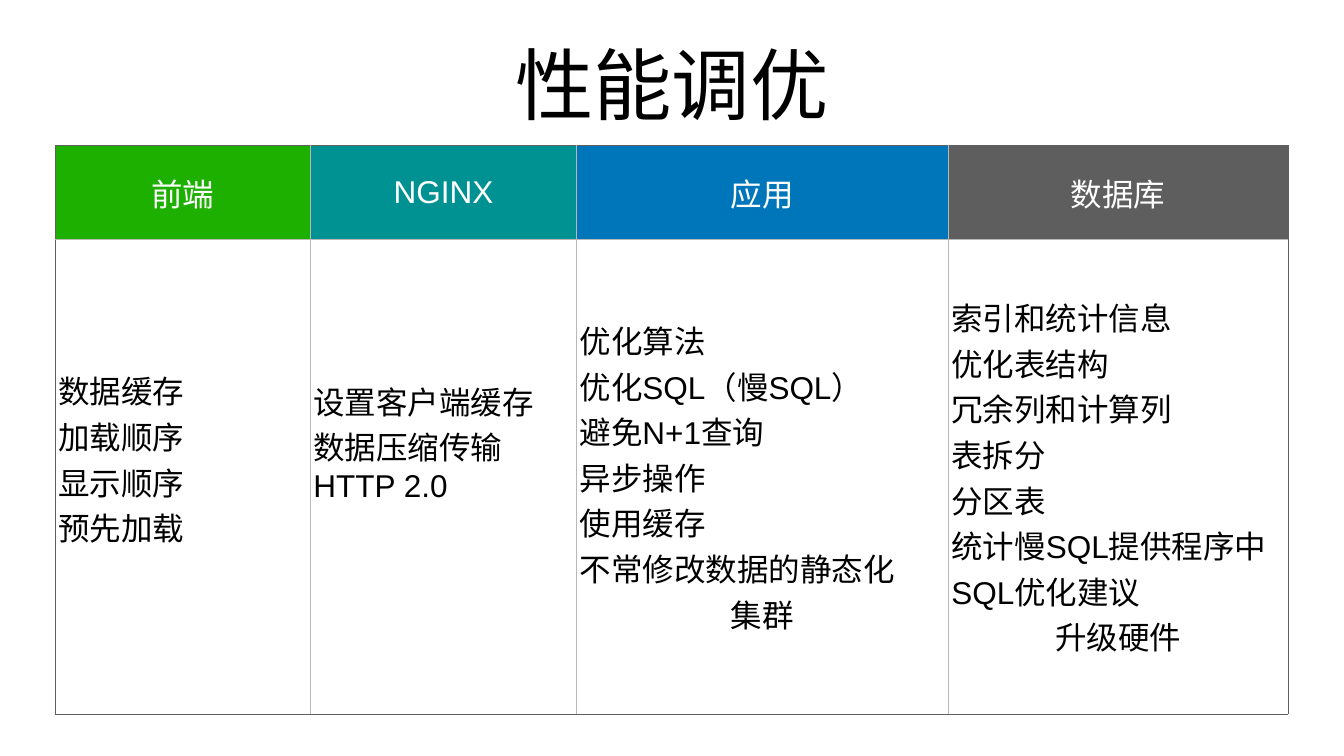
from lxml.etree import SubElement
from pptx import Presentation
from pptx.dml.color import RGBColor
from pptx.enum.text import MSO_ANCHOR as Anchor, PP_ALIGN as Align
from pptx.oxml.ns import qn
from pptx.util import Inches, Pt

COLORS = {
    "black": "000000", "white": "FFFFFF", "green": "1EB001", "teal": "009193",
    "blue": "0076BA", "gray": "5E5E5E", "outer": "606060", "inner": "B8B8B8",
}
MARGIN = Inches(0.06)
BLANK_LINE = 0.71  # inches kept free below the shorter lists, per line

# heading, heading fill, column width, items, free lines below, last item's alignment
COLUMNS = [
    ("前端", "green", 5.06,
     ["数据缓存", "加载顺序", "显示顺序", "预先加载"], 1, Align.LEFT),
    ("NGINX", "teal", 5.28,
     ["设置客户端缓存", "数据压缩传输", "HTTP 2.0"], 2, Align.LEFT),
    ("应用", "blue", 7.38,
     ["优化算法", "优化SQL（慢SQL）", "避免N+1查询", "异步操作", "使用缓存",
      "不常修改数据的静态化", "集群"], 0, Align.CENTER),
    ("数据库", "gray", 6.74,
     ["索引和统计信息", "优化表结构", "冗余列和计算列", "表拆分", "分区表",
      "统计慢SQL提供程序中SQL优化建议", "升级硬件"], 0, Align.CENTER),
]
ROW_HEIGHTS = [1.85, 9.43]


def write_lines(text_frame, lines, size, color, alignments):
    text_frame.text = "\n".join(lines)
    for paragraph, alignment in zip(text_frame.paragraphs, alignments):
        paragraph.alignment = alignment
        for run in paragraph.runs:
            run.font.name = "Arial"
            run.font.size = Pt(size)
            run.font.color.rgb = RGBColor.from_string(COLORS[color])


def style_cell(cell, fill, edges):
    """Set fill, margins and borders; edges maps L, R, T, B to colour names."""
    cell.vertical_anchor = Anchor.MIDDLE
    cell.margin_left = cell.margin_right = MARGIN
    cell.margin_top = cell.margin_bottom = MARGIN
    properties = cell._tc.get_or_add_tcPr()
    for side, color in edges.items():
        line = SubElement(properties, qn(f"a:ln{side}"), w=str(Pt(1)))
        solid = SubElement(line, qn("a:solidFill"))
        SubElement(solid, qn("a:srgbClr"), val=COLORS[color])
    cell.fill.solid()
    cell.fill.fore_color.rgb = RGBColor.from_string(COLORS[fill])


presentation = Presentation()
presentation.slide_width = Inches(26.67)
presentation.slide_height = Inches(15)
slide = presentation.slides.add_slide(presentation.slide_layouts[6])

title = slide.shapes.add_textbox(Inches(1.85), Inches(0.39), Inches(22.97), Inches(2.5))
title_frame = title.text_frame
title_frame.word_wrap = True
title_frame.vertical_anchor = Anchor.MIDDLE
title_frame.margin_left = title_frame.margin_right = MARGIN
title_frame.margin_top = title_frame.margin_bottom = MARGIN
write_lines(title_frame, ["性能调优"], 112, "black", [Align.CENTER])

table = slide.shapes.add_table(
    len(ROW_HEIGHTS), len(COLUMNS), Inches(1.1), Inches(2.89),
    Inches(sum(column[2] for column in COLUMNS)), Inches(sum(ROW_HEIGHTS))).table
table.horz_banding = False
for row, height in zip(table.rows, ROW_HEIGHTS):
    row.height = Inches(height)

for index, (heading, fill, width, items, free_lines, last_alignment) in enumerate(COLUMNS):
    table.columns[index].width = Inches(width)
    sides = {
        "L": "outer" if index == 0 else "inner",
        "R": "outer" if index == len(COLUMNS) - 1 else "inner",
    }

    header = table.cell(0, index)
    style_cell(header, fill, {**sides, "T": "outer", "B": "inner"})
    write_lines(header.text_frame, [heading], 45, "white", [Align.CENTER])

    body = table.cell(1, index)
    style_cell(body, "white", {**sides, "T": "inner", "B": "outer"})
    body.margin_bottom = MARGIN + Inches(free_lines * BLANK_LINE)
    alignments = [Align.LEFT] * (len(items) - 1) + [last_alignment]
    write_lines(body.text_frame, items, 45, "black", alignments)

presentation.save("out.pptx")
